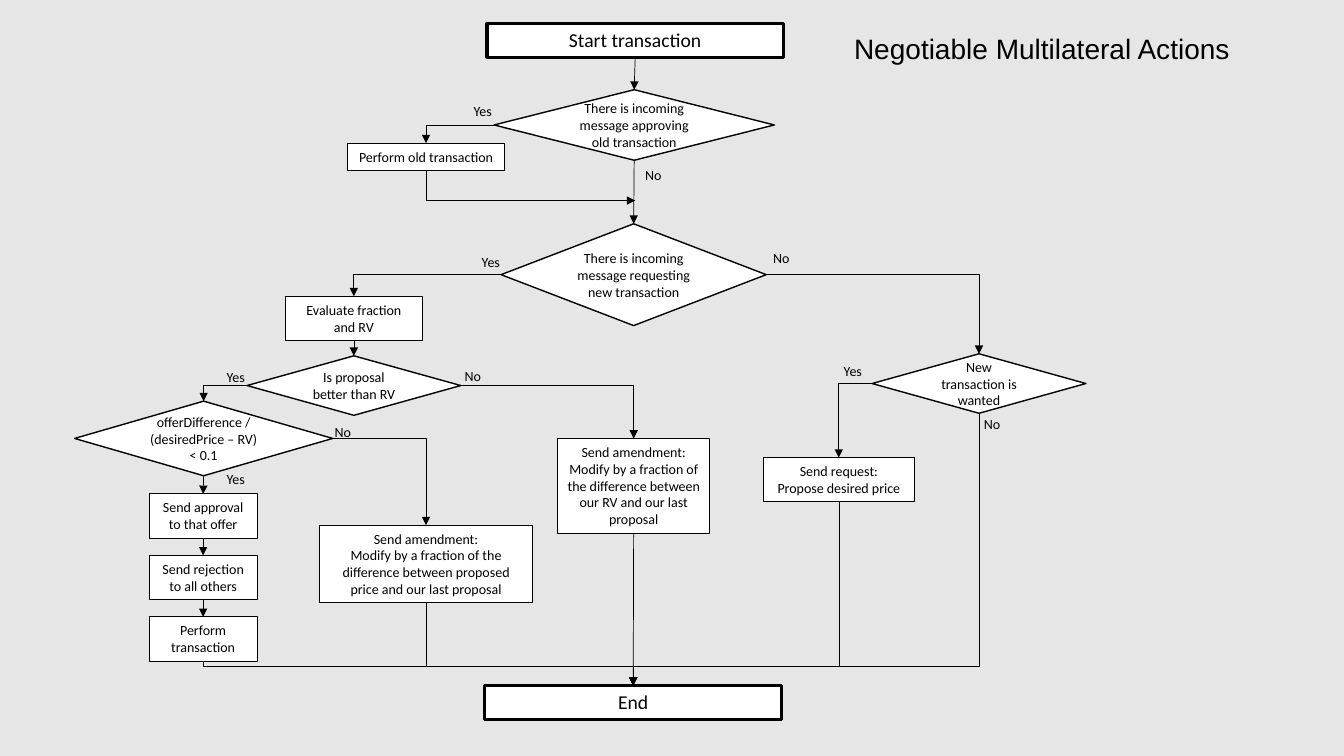
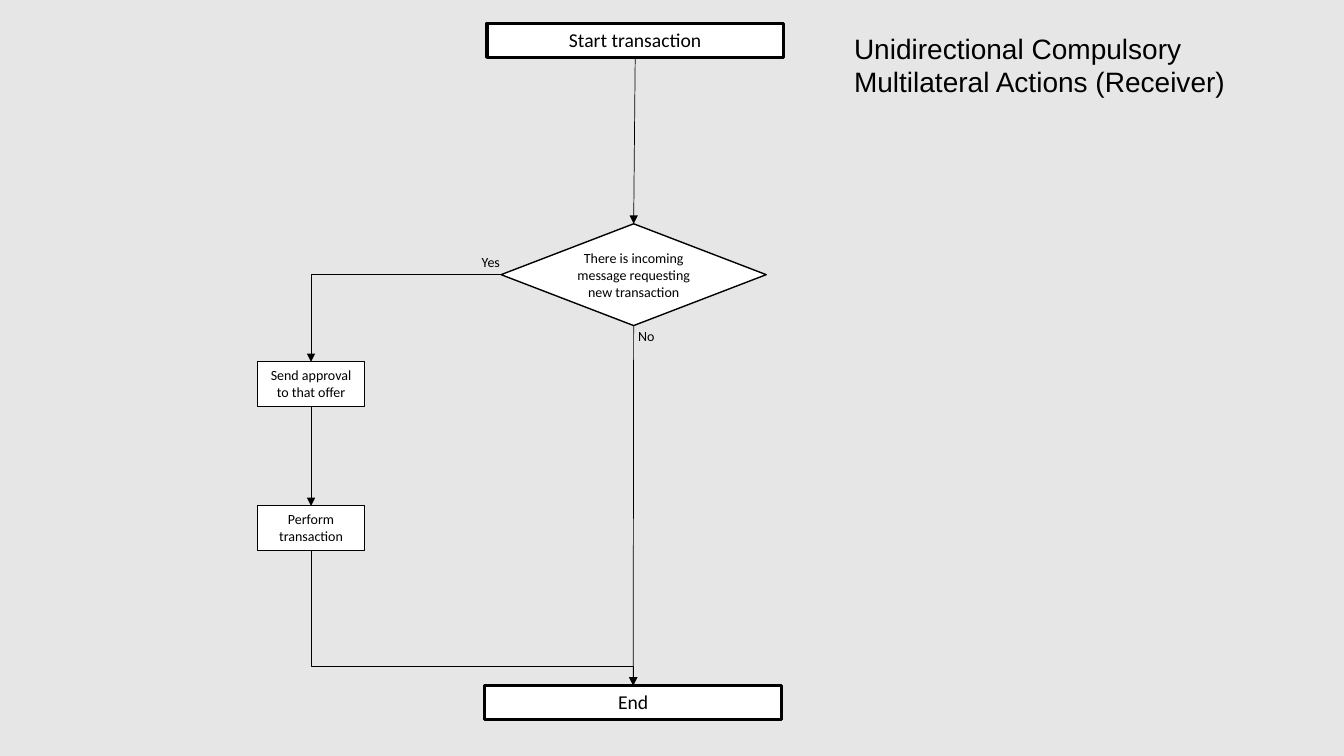
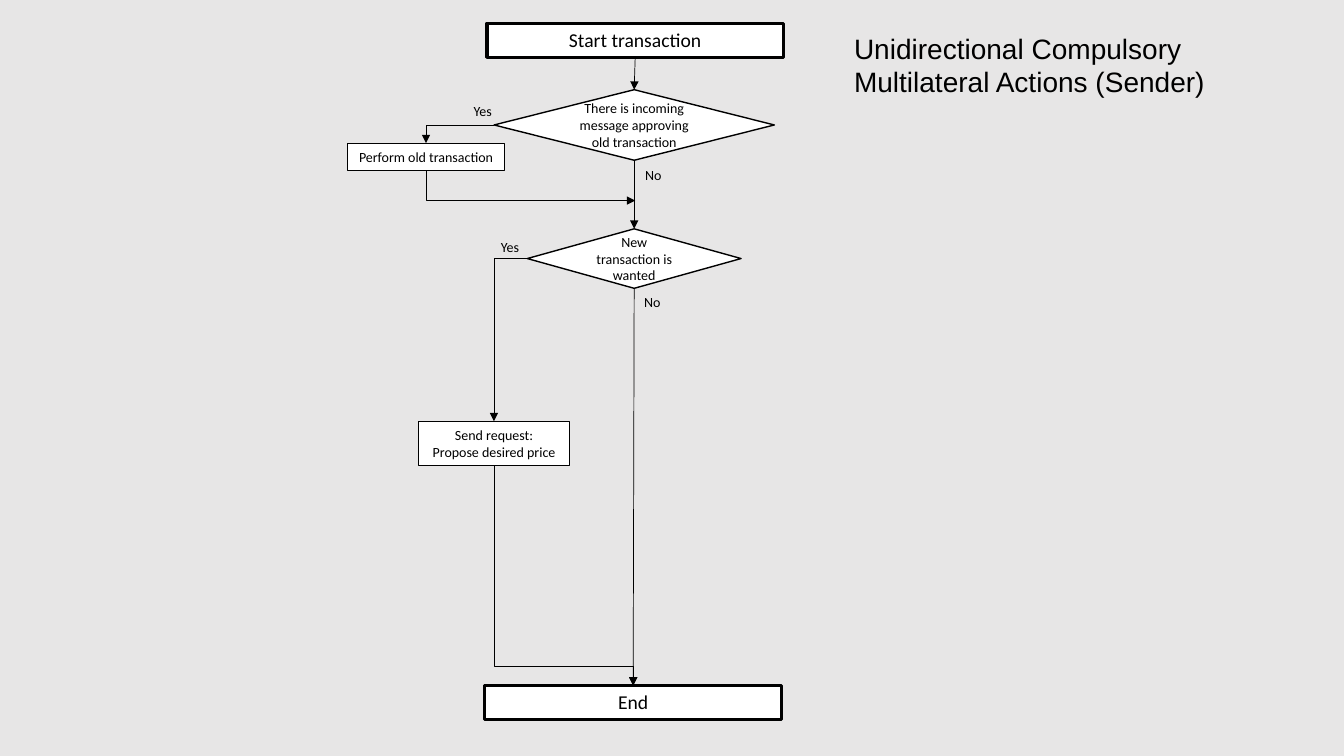
from lxml.etree import SubElement
from pptx import Presentation
from pptx.dml.color import RGBColor
from pptx.enum.shapes import MSO_CONNECTOR as CONNECTOR, MSO_SHAPE as SHAPE
from pptx.enum.text import MSO_ANCHOR as ANCHOR, MSO_AUTO_SIZE as AUTO_SIZE, PP_ALIGN as ALIGN
from pptx.oxml.ns import qn
from pptx.util import Inches, Pt

COLORS = {"background": "E7E6E6", "fill": "FFFFFF", "ink": "000000"}
TITLE_FONT, BODY_FONT = "Arial", "Calibri"
TITLE_ONLY = 5

# Connection sites shared by rectangles and diamonds
TOP, LEFT, BOTTOM, RIGHT = range(4)

# Height at which the flows merge before the end box
RAIL = Inches(6.61)

# Sizes of the recurring elements: width, height
TERMINAL = (2.94, 0.34)
TWO_LINES = (1.07, 0.44)
REQUEST = (1.5, 0.44)
SMALL_DECISION = (2.12, 0.59)
REQUEST_DECISION = (2.63, 1.01)


def color(name):
    return RGBColor.from_string(COLORS[name])


# Text
def write(frame, text, size, font=BODY_FONT, align=ALIGN.LEFT, anchor=ANCHOR.TOP):
    frame.text = text
    frame.word_wrap = True
    frame.vertical_anchor = anchor
    for paragraph in frame.paragraphs:
        paragraph.alignment = align
        paragraph.font.name = font
        paragraph.font.size = Pt(size)
        paragraph.font.color.rgb = color("ink")


def add_label(slide, text, left, top):
    width = 0.4 if text == "Yes" else 0.43
    label = slide.shapes.add_textbox(Inches(left), Inches(top), Inches(width), Inches(0.27))
    write(label.text_frame, text, 10)


# Flowchart nodes
def add_node(slide, kind, text, left, top, size, line_width, font_size, anchor):
    width, height = size
    node = slide.shapes.add_shape(kind, Inches(left), Inches(top), Inches(width), Inches(height))
    node.shadow.inherit = False
    node.fill.solid()
    node.fill.fore_color.rgb = color("fill")
    node.line.color.rgb = color("ink")
    node.line.width = Pt(line_width)
    write(node.text_frame, text, font_size, align=ALIGN.CENTER, anchor=anchor)
    return node


def add_box(slide, text, left, top, size, line_width=0.75, font_size=10):
    box = add_node(slide, SHAPE.RECTANGLE, text, left, top, size, line_width, font_size, ANCHOR.TOP)
    box.text_frame.auto_size = AUTO_SIZE.SHAPE_TO_FIT_TEXT
    return box


def add_decision(slide, text, left, top, size):
    return add_node(slide, SHAPE.DIAMOND, text, left, top, size, 1, 10, ANCHOR.MIDDLE)


# Connectors
def add_arrow(slide, kind, source, site, target=None, point=(0, 0)):
    """Arrow from a site of the source to the top of the target, or to a point."""
    arrow = slide.shapes.add_connector(kind, source.left, source.top, *point)
    arrow.begin_connect(source, site)
    if target is not None:
        arrow.end_connect(target, TOP)
    arrow.line.color.rgb = color("ink")
    arrow.line.width = Pt(0.5)
    properties = arrow._element.spPr
    SubElement(properties.find(qn("a:ln")), qn("a:tailEnd"), type="triangle")
    SubElement(properties, qn("a:effectLst"))
    return arrow


def set_preset(arrow, preset):
    arrow._element.spPr.find(qn("a:prstGeom")).set("prst", preset)


def turn_downward(arrow):
    """Make an elbow leave its start vertically instead of sideways."""
    goes_right = arrow.end_x > arrow.begin_x
    left, top, width, height = arrow.left, arrow.top, arrow.width, arrow.height
    arrow.left = left + (width - height) // 2
    arrow.top = top + (height - width) // 2
    arrow.width, arrow.height = height, width
    transform = arrow._element.spPr.find(qn("a:xfrm"))
    transform.set("rot", str((270 if goes_right else 90) * 60000))
    transform.set("flipH", "1" if goes_right else "0")


def flow_down(slide, *nodes):
    for source, target in zip(nodes, nodes[1:]):
        add_arrow(slide, CONNECTOR.STRAIGHT, source, BOTTOM, target)


def branch(slide, source, site, target):
    set_preset(add_arrow(slide, CONNECTOR.ELBOW, source, site, target), "bentConnector2")


def rejoin(slide, source, left, top):
    point = Inches(left), Inches(top)
    arrow = add_arrow(slide, CONNECTOR.ELBOW, source, BOTTOM, point=point)
    set_preset(arrow, "bentConnector2")
    turn_downward(arrow)


def merge(slide, source, end):
    arrow = add_arrow(slide, CONNECTOR.ELBOW, source, BOTTOM, end)
    bend = (RAIL - arrow.begin_y) / (arrow.end_y - arrow.begin_y)
    turn_downward(arrow)
    adjustments = arrow._element.spPr.find(qn("a:prstGeom")).find(qn("a:avLst"))
    SubElement(adjustments, qn("a:gd"), name="adj1", fmla=f"val {round(bend * 100000)}")


# Parts shared by several slides
def start_slide(presentation, title_text):
    slide = presentation.slides.add_slide(presentation.slide_layouts[TITLE_ONLY])
    title = slide.shapes.title
    title.left, title.top = Inches(8.37), Inches(0.26)
    title.width, title.height = Inches(4.3), Inches(0.77)
    write(title.text_frame, title_text, 20, TITLE_FONT)
    title.text_frame.auto_size = AUTO_SIZE.NONE
    start = add_box(slide, "Start transaction", 4.83, 0.23, TERMINAL, 2.25, 14)
    end = add_box(slide, "End", 4.81, 6.8, TERMINAL, 2.25, 14)
    return slide, start, end


def add_old_transaction(slide, start):
    approving = add_decision(slide, "There is incoming message approving old transaction",
                             4.9, 0.89, (2.78, 0.7))
    perform_old = add_box(slide, "Perform old transaction", 3.45, 1.42, (1.55, 0.27))
    flow_down(slide, start, approving)
    branch(slide, approving, LEFT, perform_old)
    rejoin(slide, perform_old, 6.3, 1.99)
    add_label(slide, "Yes", 4.6, 0.97)
    add_label(slide, "No", 6.3, 1.6)
    return approving


def add_requesting(slide):
    add_label(slide, "Yes", 4.68, 2.47)
    return add_decision(slide, "There is incoming message requesting new transaction",
                        4.97, 2.22, REQUEST_DECISION)


def add_new_request(slide, wanted_at, request_at):
    wanted = add_decision(slide, "New transaction is wanted", *wanted_at, SMALL_DECISION)
    request = add_box(slide, "Send request:\nPropose desired price", *request_at, REQUEST)
    branch(slide, wanted, LEFT, request)
    return wanted, request


# Slides
def build_negotiable(presentation):
    slide, start, end = start_slide(presentation, "Negotiable Multilateral Actions")
    approving = add_old_transaction(slide, start)
    requesting = add_requesting(slide)
    flow_down(slide, approving, requesting)

    # Judging the proposal
    evaluate = add_box(slide, "Evaluate fraction and RV", 2.83, 2.94, (1.36, 0.44))
    better = add_decision(slide, "Is proposal better than RV", 2.45, 3.53, SMALL_DECISION)
    difference = add_decision(slide, "offerDifference / (desiredPrice – RV) < 0.1",
                              0.74, 3.98, (2.56, 0.74))
    branch(slide, requesting, LEFT, evaluate)
    flow_down(slide, evaluate, better)
    branch(slide, better, LEFT, difference)

    # Accepting the offer
    steps = ["Send approval to that offer", "Send rejection to all others", "Perform transaction"]
    accepted = [add_box(slide, step, 1.48, 4.9 + 0.61 * row, TWO_LINES)
                for row, step in enumerate(steps)]
    flow_down(slide, difference, *accepted)

    # Amending the offer
    amend_price = add_box(slide, "Send amendment:\nModify by a fraction of the difference "
                          "between proposed price and our last proposal", 3.17, 5.21, (2.11, 0.77))
    amend_rv = add_box(slide, "Send amendment:\nModify by a fraction of the difference "
                       "between our RV and our last proposal", 5.53, 4.35, (1.51, 0.94))
    branch(slide, difference, RIGHT, amend_price)
    branch(slide, better, RIGHT, amend_rv)
    flow_down(slide, amend_rv, end)

    # Requesting a new transaction
    wanted, request = add_new_request(slide, (8.65, 3.51), (7.57, 4.54))
    branch(slide, requesting, RIGHT, wanted)
    for source in (accepted[-1], amend_price, wanted, request):
        merge(slide, source, end)

    for text, left, top in [
        ("No", 7.57, 2.43), ("Yes", 2.15, 3.61), ("No", 4.51, 3.6), ("No", 3.22, 4.15),
        ("Yes", 2.15, 4.62), ("Yes", 8.27, 3.55), ("No", 9.66, 4.07),
    ]:
        add_label(slide, text, left, top)


def build_receiver(presentation):
    slide, start, end = start_slide(
        presentation, "Unidirectional Compulsory\nMultilateral Actions (Receiver)")
    requesting = add_requesting(slide)
    approval = add_box(slide, "Send approval to that offer", 2.55, 3.59, TWO_LINES)
    perform = add_box(slide, "Perform transaction", 2.55, 5.02, TWO_LINES)
    flow_down(slide, start, requesting, end)
    branch(slide, requesting, LEFT, approval)
    flow_down(slide, approval, perform)
    merge(slide, perform, end)
    add_label(slide, "No", 6.23, 3.2)


def build_sender(presentation):
    slide, start, end = start_slide(
        presentation, "Unidirectional Compulsory\nMultilateral Actions (Sender)")
    approving = add_old_transaction(slide, start)
    wanted, request = add_new_request(slide, (5.23, 2.27), (4.15, 4.18))
    flow_down(slide, approving, wanted, end)
    merge(slide, request, end)
    add_label(slide, "Yes", 4.87, 2.32)
    add_label(slide, "No", 6.29, 2.86)


def main():
    presentation = Presentation()
    presentation.slide_width, presentation.slide_height = Inches(13.33), Inches(7.5)
    background = presentation.slide_master.background.fill
    background.solid()
    background.fore_color.rgb = color("background")
    build_negotiable(presentation)
    build_receiver(presentation)
    build_sender(presentation)
    presentation.save("out.pptx")


main()
